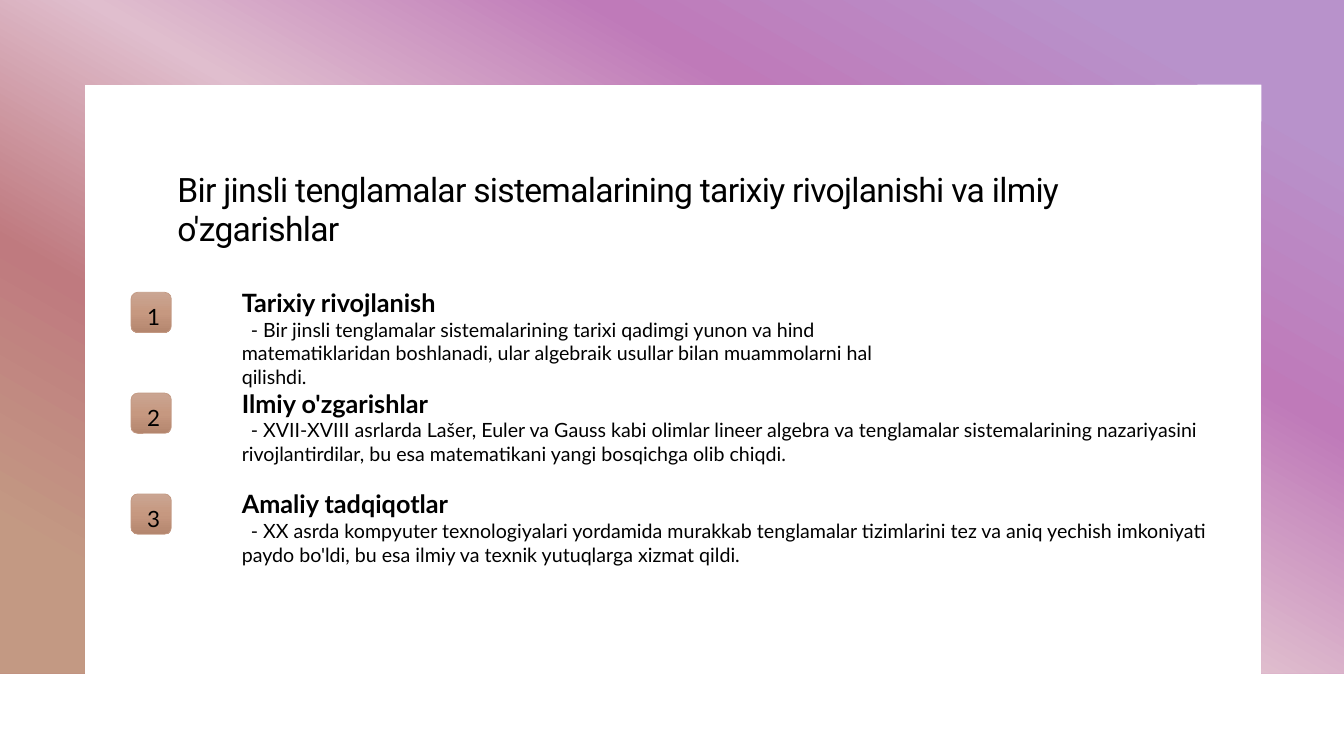
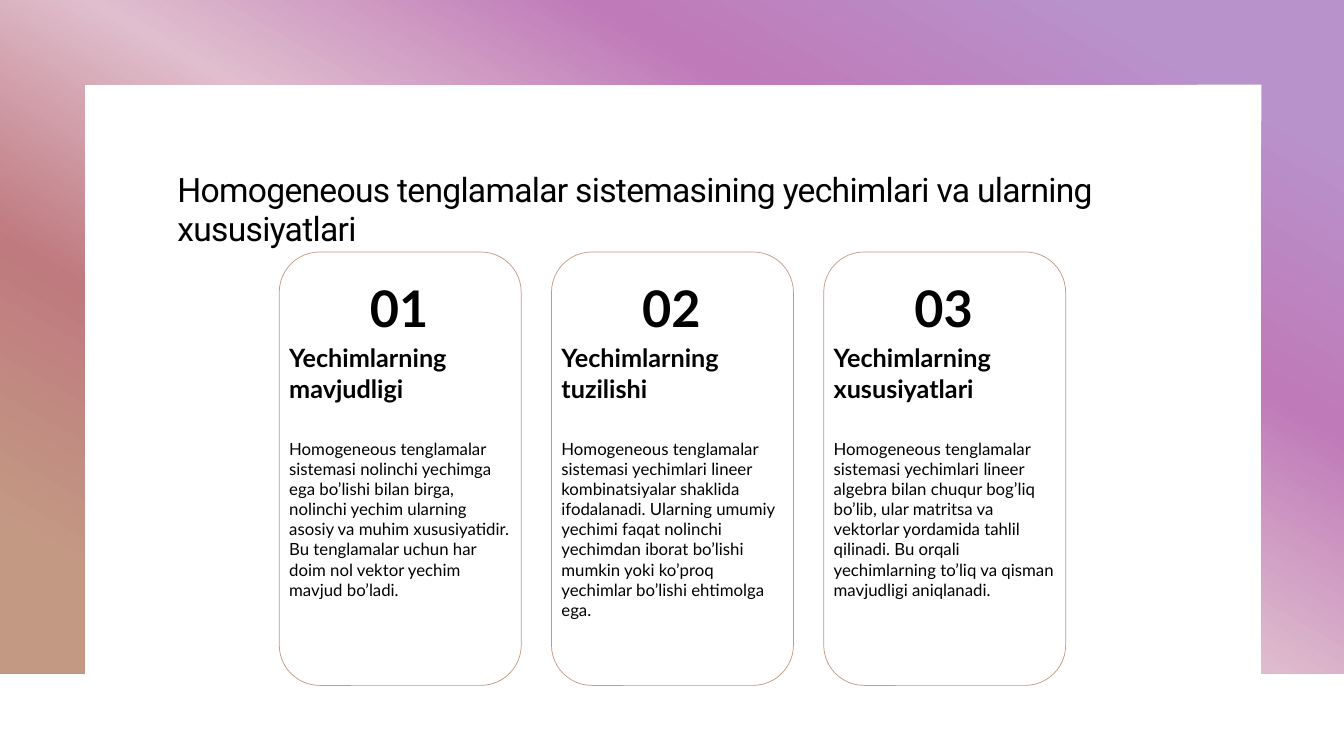
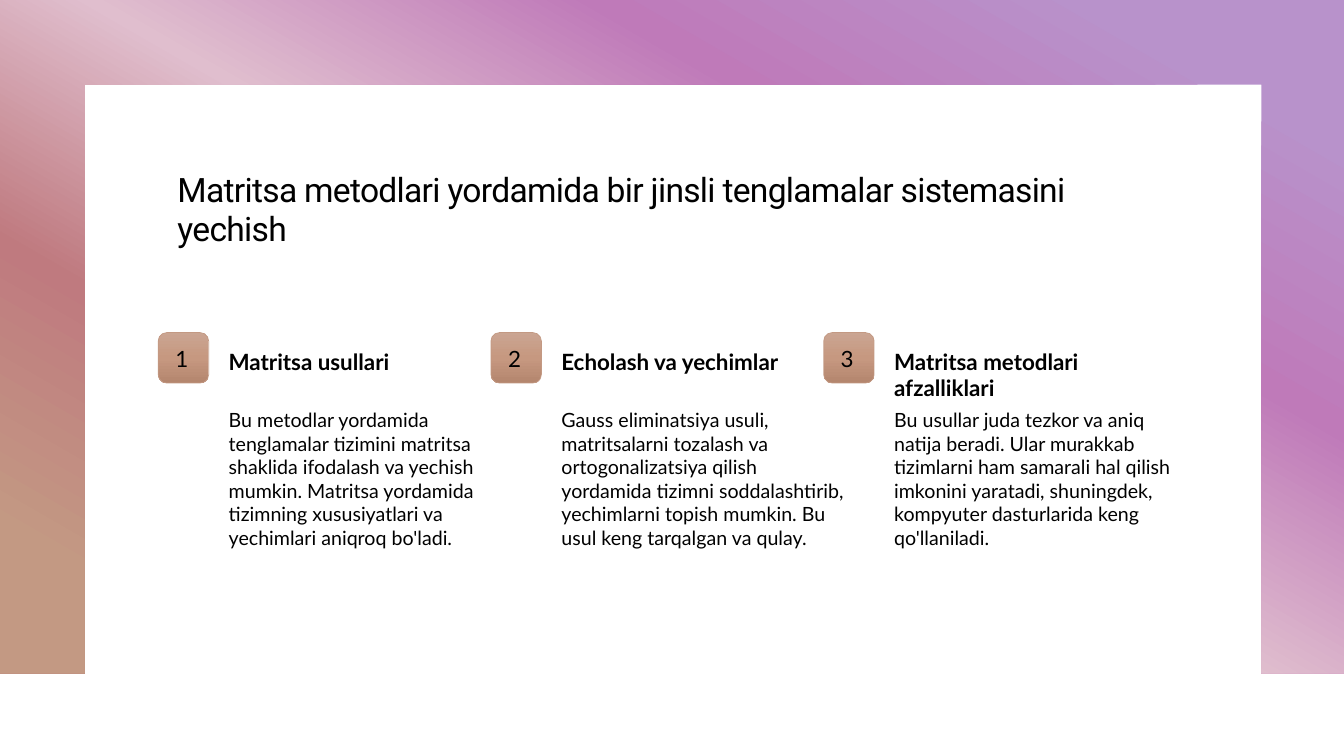
from lxml import etree
from pptx import Presentation
from pptx import util as u
from pptx.dml.color import RGBColor
from pptx.enum import shapes, text
from pptx.oxml import ns

PX = 9144
BLACK = RGBColor(0x00, 0x00, 0x00)
LILAC = RGBColor(0xB8, 0x92, 0xCB)
ORCHID = RGBColor(0xBF, 0x7A, 0xB9)
BLUSH = RGBColor(0xE0, 0xBE, 0xCE)
ROSE = RGBColor(0xBF, 0x7A, 0x7F)
TAN = RGBColor(0xC3, 0x99, 0x83)
TAN_LIGHT = RGBColor(0xCA, 0xA5, 0x92)
TAN_MID = RGBColor(0xC6, 0x98, 0x80)
TAN_DARK = RGBColor(0xB4, 0x86, 0x6E)

FRAME_STOPS = [(10, LILAC), (30, ORCHID), (50, BLUSH), (70, ROSE), (90, TAN)]
BADGE_STOPS = [(0, TAN_LIGHT), (50, TAN_MID), (100, TAN_DARK)]
FRAME_POINTS = [(1333, 0), (1333, 668), (1251, 668), (1251, 84),
                (84, 84), (84, 668), (0, 668)]

NUMBER = {"size": u.Pt(16), "bold": False}
BIG_NUMBER = {"size": u.Pt(36), "bold": True}
HEADING = {"size": u.Pt(18), "bold": True}
SMALL_HEADING = {"size": u.Pt(16), "bold": True}
BODY = {"size": u.Pt(14), "bold": False}
SMALL_BODY = {"size": u.Pt(12), "bold": False}
TITLE = {"name": "Roboto", "size": u.Pt(24), "bold": False}

TITLES = [
    "Bir jinsli tenglamalar sistemalarining tarixiy rivojlanishi va ilmiy o'zgarishlar",
    "Homogeneous tenglamalar sistemasining yechimlari va ularning xususiyatlari",
    "Matritsa metodlari yordamida bir jinsli tenglamalar sistemasini yechish",
]
HISTORY = [
    ("Tarixiy rivojlanish", 700,
     "- Bir jinsli tenglamalar sistemalarining tarixi qadimgi yunon va hind "
     "matematiklaridan boshlanadi, ular algebraik usullar bilan muammolarni hal qilishdi."),
    ("Ilmiy o'zgarishlar", 1000,
     "- XVII-XVIII asrlarda Lašer, Euler va Gauss kabi olimlar lineer algebra va "
     "tenglamalar sistemalarining nazariyasini rivojlantirdilar, bu esa matematikani "
     "yangi bosqichga olib chiqdi."),
    ("Amaliy tadqiqotlar", 1000,
     "- XX asrda kompyuter texnologiyalari yordamida murakkab tenglamalar tizimlarini "
     "tez va aniq yechish imkoniyati paydo bo'ldi, bu esa ilmiy va texnik yutuqlarga "
     "xizmat qildi."),
]
SOLUTIONS = [
    ("Yechimlarning mavjudligi",
     "Homogeneous tenglamalar sistemasi nolinchi yechimga ega bo’lishi bilan birga, "
     "nolinchi yechim ularning asosiy va muhim xususiyatidir. Bu tenglamalar uchun har "
     "doim nol vektor yechim mavjud bo’ladi."),
    ("Yechimlarning tuzilishi",
     "Homogeneous tenglamalar sistemasi yechimlari lineer kombinatsiyalar shaklida "
     "ifodalanadi. Ularning umumiy yechimi faqat nolinchi yechimdan iborat bo’lishi "
     "mumkin yoki ko’proq yechimlar bo’lishi ehtimolga ega."),
    ("Yechimlarning xususiyatlari",
     "Homogeneous tenglamalar sistemasi yechimlari lineer algebra bilan chuqur bog’liq "
     "bo’lib, ular matritsa va vektorlar yordamida tahlil qilinadi. Bu orqali "
     "yechimlarning to’liq va qisman mavjudligi aniqlanadi."),
]
METHODS = [
    ("Matritsa usullari",
     "Bu metodlar yordamida tenglamalar tizimini matritsa shaklida ifodalash va yechish "
     "mumkin. Matritsa yordamida tizimning xususiyatlari va yechimlari aniqroq bo'ladi."),
    ("Echolash va yechimlar",
     "Gauss eliminatsiya usuli, matritsalarni tozalash va ortogonalizatsiya qilish "
     "yordamida tizimni soddalashtirib, yechimlarni topish mumkin. Bu usul keng "
     "tarqalgan va qulay."),
    ("Matritsa metodlari afzalliklari",
     "Bu usullar juda tezkor va aniq natija beradi. Ular murakkab tizimlarni ham "
     "samarali hal qilish imkonini yaratadi, shuningdek, kompyuter dasturlarida keng "
     "qo'llaniladi."),
]


def paint(shape, stops, angle):
    shape.shadow.inherit = False
    if not stops:
        shape.fill.background()
        return
    shape.fill.gradient()
    shape.fill.gradient_angle = 360 - angle
    stop_list = next(shape.element.iter(ns.qn("a:gsLst")))
    for stop in list(stop_list):
        stop_list.remove(stop)
    for position, colour in stops:
        stop = etree.SubElement(stop_list, ns.qn("a:gs"), pos=str(position * 1000))
        etree.SubElement(stop, ns.qn("a:srgbClr"), val=str(colour))


def write(page, words, left, top, width, height, style, indent=0):
    box = page.shapes.add_textbox(left * PX, top * PX, width * PX, height * PX)
    box.text_frame.word_wrap = True
    box.text_frame.auto_size = text.MSO_AUTO_SIZE.SHAPE_TO_FIT_TEXT
    para = box.text_frame.paragraphs[0]
    if indent:
        para._p.get_or_add_pPr().set("indent", str(indent * PX))
    span = para.add_run()
    span.text = words
    span.font.name = "Lato"
    span.font.color.rgb = BLACK
    for name, value in style.items():
        setattr(span.font, name, value)


deck = Presentation()
deck.slide_width = 1333 * PX
deck.slide_height = 750 * PX
layout = deck.slide_layouts[5]
pages = [deck.slides.add_slide(layout) for title in TITLES]
history, solutions, methods = pages

builder = history.shapes.build_freeform(0, 0, scale=PX)
builder.add_line_segments(FRAME_POINTS, close=True)
frame = builder.convert_to_shape()
paint(frame, FRAME_STOPS, 120)
frame.line.fill.background()
layout.shapes.element.insert(2, frame.element)

for page, words in zip(pages, TITLES):
    title = page.shapes.title
    place = {"left": 166, "top": 166, "width": 1000, "height": 147}
    for name, value in place.items():
        setattr(title, name, value * PX)
    title.text_frame.word_wrap = True
    title.text_frame.auto_size = text.MSO_AUTO_SIZE.NONE
    title.text_frame.vertical_anchor = text.MSO_ANCHOR.TOP
    para = title.text_frame.paragraphs[0]
    para.alignment = text.PP_ALIGN.LEFT
    para.line_spacing = 0.95
    span = para.add_run()
    span.text = words
    span.font.color.rgb = BLACK
    for name, value in TITLE.items():
        setattr(span.font, name, value)
    span._r.get_or_add_rPr().set("spc", "-50")

panels = []
for index in range(3):
    panels += [
        (history, 130, 290 + 100 * index, 40, 40, BADGE_STOPS),
        (solutions, 277 + 270 * index, 250, 240, 430, None),
        (methods, 157 + 333 * index - 3 * index, 330, 50, 50, BADGE_STOPS),
    ]
for page, left, top, width, height, stops in panels:
    panel = page.shapes.add_shape(shapes.MSO_SHAPE.ROUNDED_RECTANGLE,
                                  left * PX, top * PX, width * PX, height * PX)
    paint(panel, stops, 90)
    panel.line.color.rgb = TAN
    panel.line.width = u.Pt(0.5)

for index, (heading, width, body) in enumerate(HISTORY):
    top = 280 + 100 * index
    write(history, str(index + 1), 136, top + 16, 28, 28, NUMBER)
    write(history, heading, 230, top, 700, 30, HEADING)
    write(history, body, 230, top + 30, width, 100, BODY, indent=9)

for index, (heading, body) in enumerate(SOLUTIONS):
    left = 277 + 270 * index
    write(solutions, f"{index + 1:02}", left + 80, 270, 240, 100, BIG_NUMBER)
    write(solutions, heading, left, 335, 240, 50, HEADING)
    write(solutions, body, left, 430, 240, 300, SMALL_BODY)

for index, (heading, body) in enumerate(METHODS):
    left = 157 + 330 * index
    write(methods, str(index + 1), left + 7, 337, 35, 35, NUMBER)
    write(methods, heading, left + 60, 340, 270, 30, SMALL_HEADING)
    write(methods, body, left + 60, 400, 300, 200, BODY)

deck.save("out.pptx")
